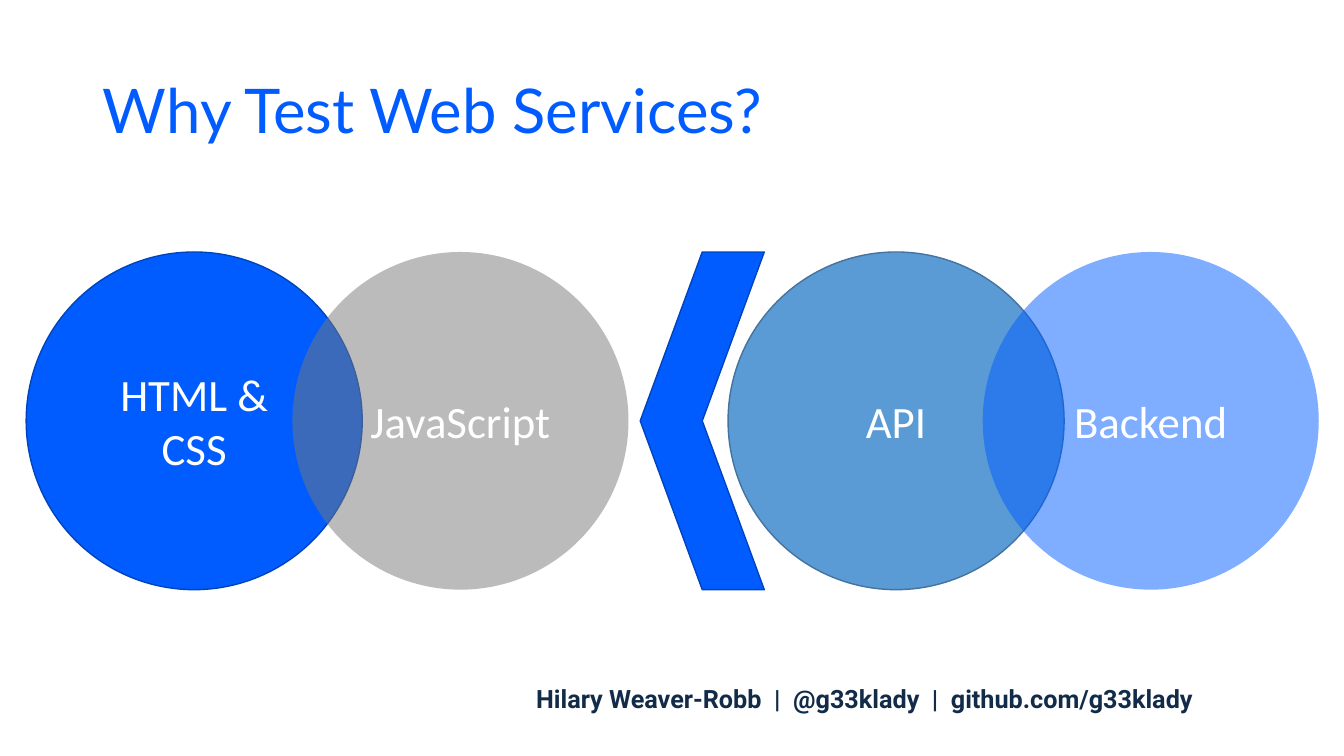
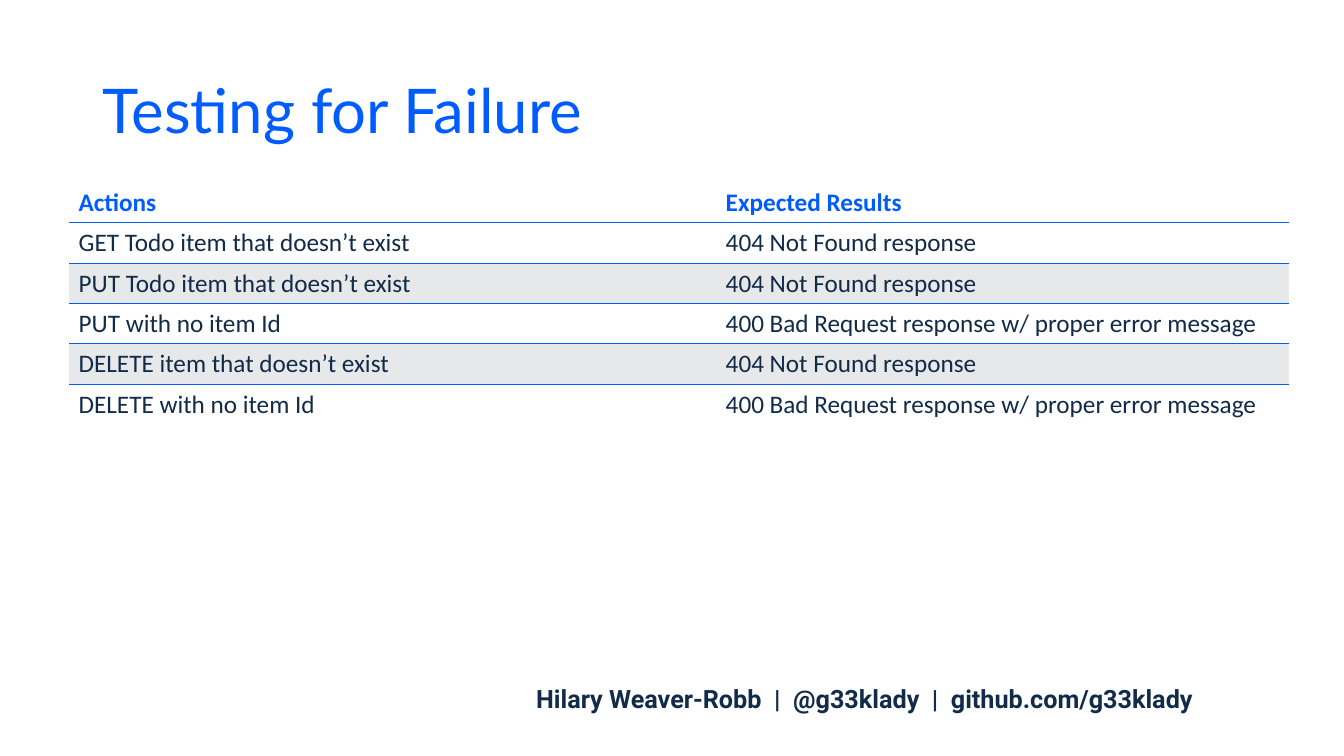
from dataclasses import dataclass

from lxml import etree
from pptx import Presentation
from pptx import util as u
from pptx.dml.color import RGBColor
from pptx.enum import shapes, text
from pptx.oxml import ns


@dataclass(frozen=True)
class Theme:
    blue: str = "005CFF"
    deep_blue: str = "0044BD"
    sky: str = "5B9BD5"
    steel: str = "43739E"
    gray: str = "797979"
    band: str = "E7E8E9"
    white: str = "FFFFFF"
    navy: str = "112B48"
    title_font: str = "Lato"
    body_font: str = "Calibri"
    footer_font: str = "Roboto"
    title_size: int = 44
    circle_size: int = 32
    small_size: int = 18


THEME = Theme()
WIDTH, HEIGHT = 13.33, 7.5
TITLE_BOX = (0.92, 0.4, 11.5, 1.45)
FOOTER_BOX = (4.07, 6.73, 9.01, 0.4)
FOOTER = "Hilary Weaver-Robb  |  @g33klady  |  github.com/g33klady"


def inches(box):
    return [u.Inches(length) for length in box]


def style(paragraph, font, size, color, bold=False, align=text.PP_ALIGN.LEFT):
    paragraph.alignment = align
    paragraph.font.name = font
    paragraph.font.size = u.Pt(size)
    paragraph.font.bold = bold
    paragraph.font.color.rgb = RGBColor.from_string(color)


def paint(shape, fill, line=None, alpha=None):
    shape.shadow.inherit = False
    shape.fill.solid()
    shape.fill.fore_color.rgb = RGBColor.from_string(fill)
    if alpha:
        color = shape.fill._xPr.find(".//" + ns.qn("a:srgbClr"))
        etree.SubElement(color, ns.qn("a:alpha"), val=str(alpha * 1000))
    if line:
        shape.line.color.rgb = RGBColor.from_string(line)
        shape.line.width = u.Pt(1)
    else:
        shape.line.fill.background()


def add_slide(prs, title):
    """Slide with the shared title and footer."""
    slide = prs.slides.add_slide(prs.slide_layouts[5])
    heading = slide.shapes.title
    heading.left, heading.top, heading.width, heading.height = inches(TITLE_BOX)
    heading.text_frame.text = title
    heading.text_frame.vertical_anchor = text.MSO_ANCHOR.MIDDLE
    paragraph = heading.text_frame.paragraphs[0]
    paragraph.line_spacing = 0.9
    style(paragraph, THEME.title_font, THEME.title_size, THEME.blue)

    footer = slide.shapes.add_textbox(*inches(FOOTER_BOX)).text_frame
    footer.word_wrap = True
    footer.text = FOOTER
    style(footer.paragraphs[0], THEME.footer_font, THEME.small_size,
          THEME.navy, True, text.PP_ALIGN.CENTER)
    return slide


def add_layers(slide, box):
    """Two pairs of overlapping circles with a chevron between them."""
    left, top, width, height = box
    circles = [  # label, offset as share of width, fill, line, opacity
        ("HTML &\nCSS", 0, THEME.blue, THEME.deep_blue, None),
        ("API", 0.543, THEME.sky, THEME.steel, None),
        ("JavaScript", 0.206, THEME.gray, None, 50),
        ("Backend", 0.74, THEME.blue, None, 50),
    ]
    for label, offset, fill, line, alpha in circles:
        circle = slide.shapes.add_shape(
            shapes.MSO_SHAPE.OVAL,
            *inches((left + offset * width, top, 0.26 * width, height)))
        paint(circle, fill, line, alpha)
        frame = circle.text_frame
        frame.text = label
        frame.vertical_anchor = text.MSO_ANCHOR.MIDDLE
        for paragraph in frame.paragraphs:
            style(paragraph, THEME.body_font, THEME.circle_size, THEME.white,
                  align=text.PP_ALIGN.CENTER)

    chevron = slide.shapes.add_shape(
        shapes.MSO_SHAPE.CHEVRON,
        *inches((left + 0.475 * width, top, 0.096 * width, height)))
    chevron.rotation = 180
    paint(chevron, THEME.blue, THEME.deep_blue)


def set_borders(cell, top, bottom):
    """Rules above and below a cell, none at its sides."""
    properties = cell._tc.get_or_add_tcPr()
    edges = (("lnL", None), ("lnR", None), ("lnT", top), ("lnB", bottom))
    for place, (tag, color) in enumerate(edges):
        edge = etree.Element(ns.qn("a:" + tag), w=str(u.Pt(1)))
        if color:
            fill = etree.SubElement(edge, ns.qn("a:solidFill"))
            etree.SubElement(fill, ns.qn("a:srgbClr"), val=color)
        else:
            etree.SubElement(edge, ns.qn("a:noFill"))
        properties.insert(place, edge)


def add_ruled_table(slide, box, rows, shares):
    """Table with a blue header, inner rules and gray bands."""
    table = slide.shapes.add_table(len(rows), len(shares), *inches(box)).table
    table.first_row = table.horz_banding = False
    for column, share in zip(table.columns, shares):
        column.width = u.Inches(box[2] * share)
    last = len(rows) - 1
    for r, row in enumerate(rows):
        header = r == 0
        banded = r > 0 and r % 2 == 0
        for c, wording in enumerate(row):
            cell = table.cell(r, c)
            cell.text = wording
            cell.fill.solid()
            cell.fill.fore_color.rgb = RGBColor.from_string(
                THEME.band if banded else THEME.white)
            style(cell.text_frame.paragraphs[0], THEME.body_font,
                  THEME.small_size, THEME.blue if header else THEME.navy, header)
            set_borders(cell, None if header else THEME.blue,
                        None if r == last else THEME.blue)


def main():
    prs = Presentation()
    prs.slide_width, prs.slide_height = inches((WIDTH, HEIGHT))

    # Layers of a web application
    why = add_slide(prs, "Why Test Web Services?")
    add_layers(why, (0.26, 2.5, 12.82, 3.35))

    # Failure cases
    missing = "404 Not Found response"
    bad = "400 Bad Request response w/ proper error message"
    failure = add_slide(prs, "Testing for Failure")
    add_ruled_table(failure, (0.68, 1.81, 12.11, 2.4), [
        ("Actions", "Expected Results"),
        ("GET Todo item that doesn’t exist", missing),
        ("PUT Todo item that doesn’t exist", missing),
        ("PUT with no item Id", bad),
        ("DELETE item that doesn’t exist", missing),
        ("DELETE with no item Id", bad),
    ], (0.53, 0.47))

    prs.save("out.pptx")


if __name__ == "__main__":
    main()
